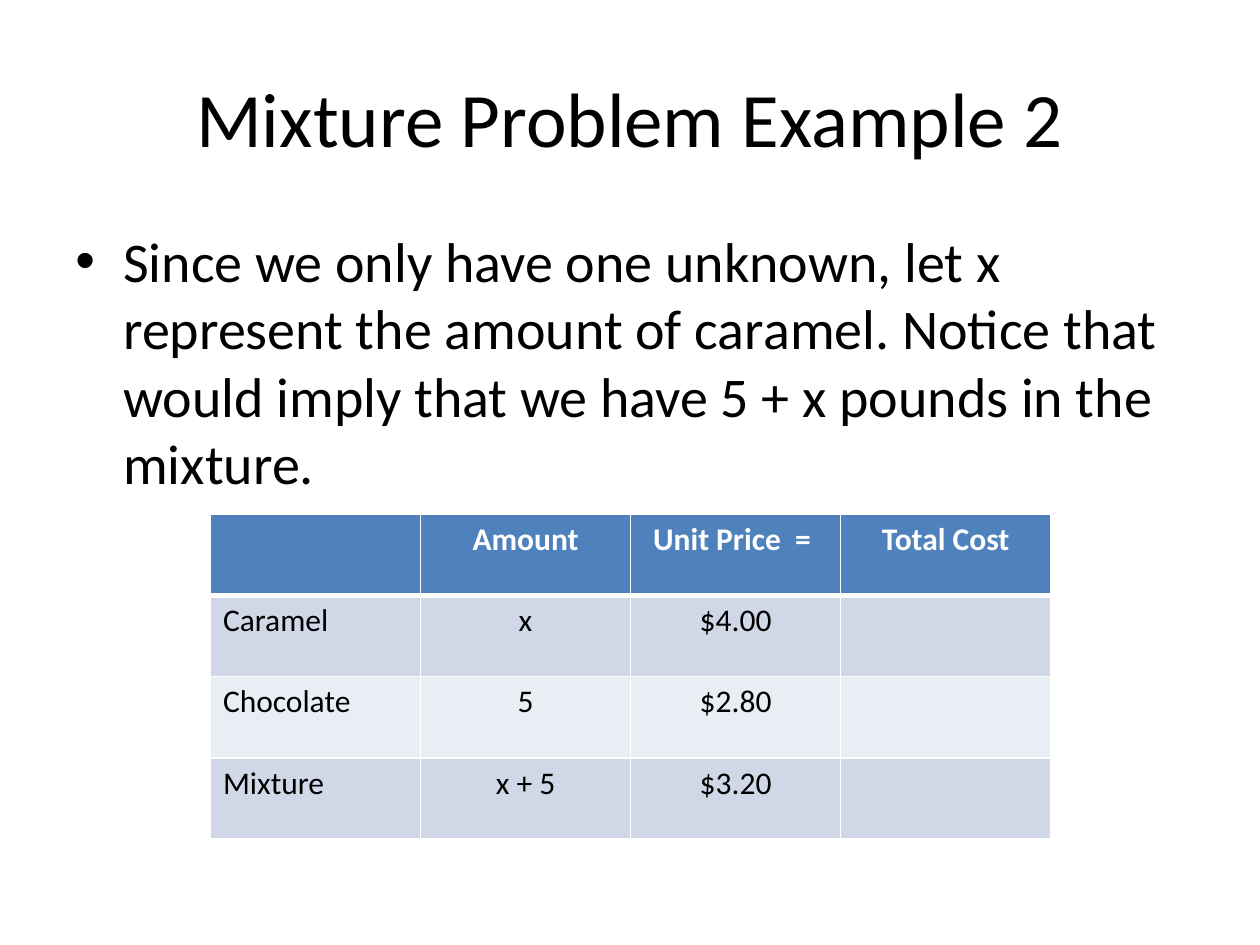
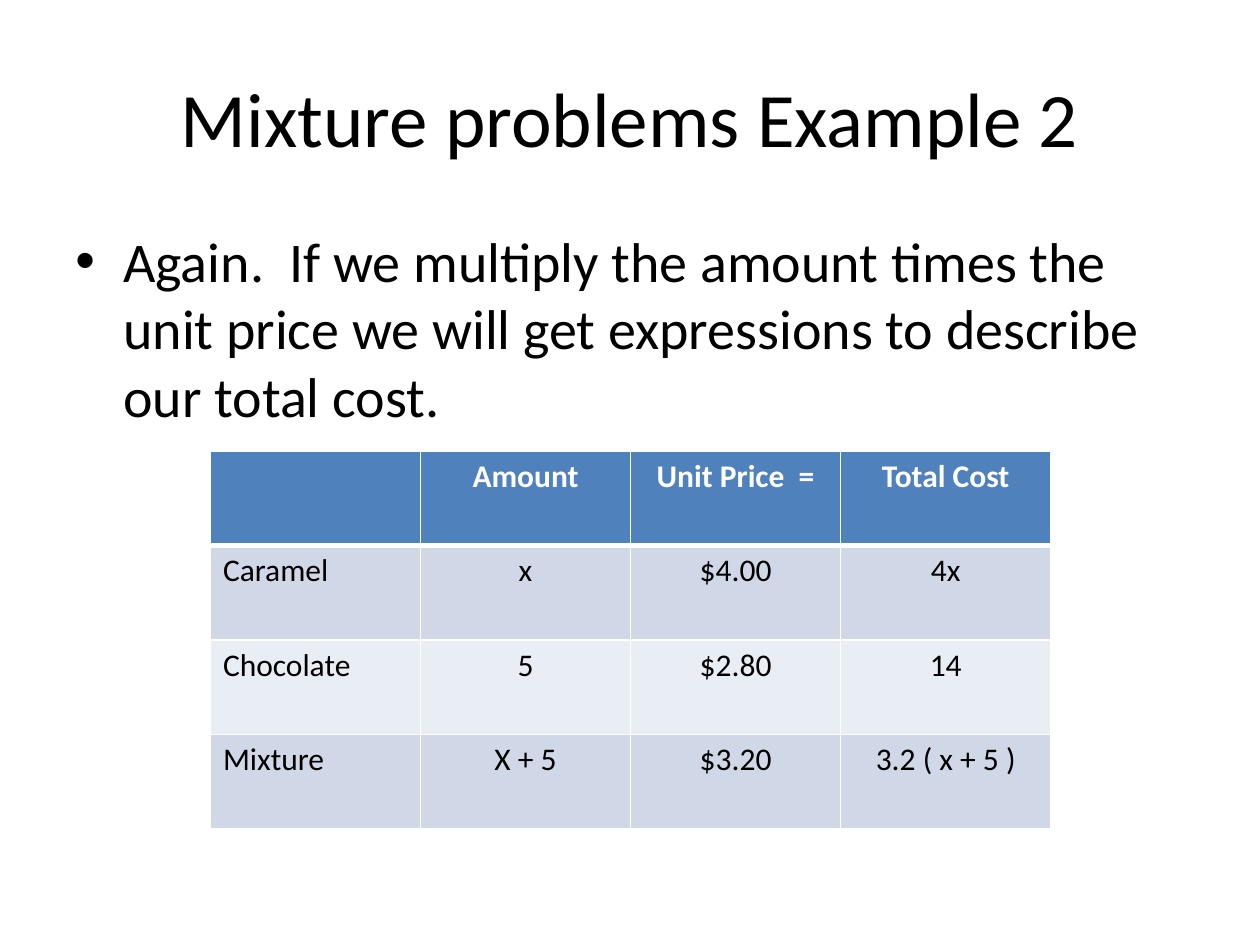
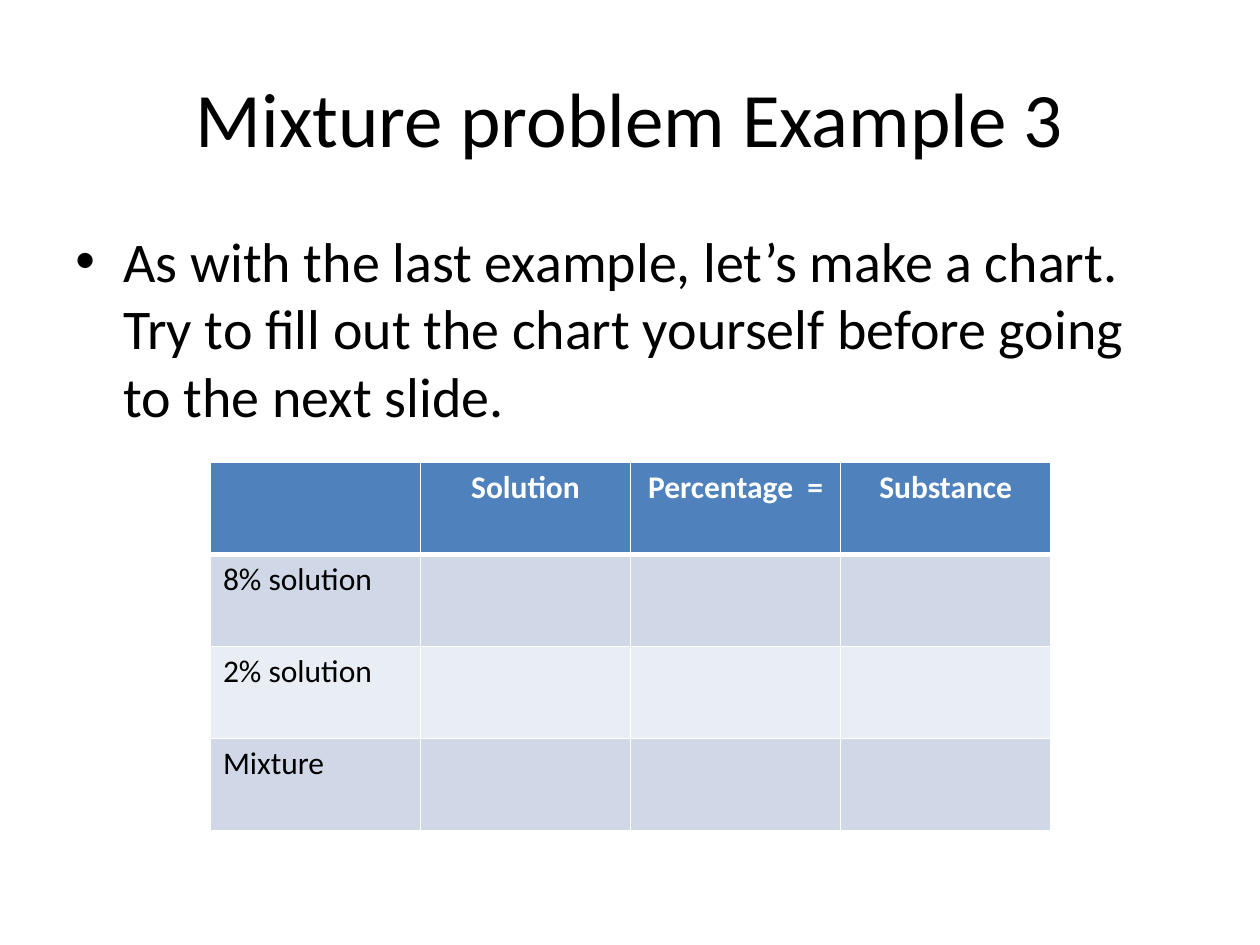
from lxml import etree
from pptx import Presentation
from pptx.dml.color import RGBColor
from pptx.enum.text import MSO_ANCHOR, PP_ALIGN
from pptx.oxml.ns import qn
from pptx.util import Inches, Pt

CENTER, LEFT = PP_ALIGN.CENTER, PP_ALIGN.LEFT
MIDDLE, TOP = MSO_ANCHOR.MIDDLE, MSO_ANCHOR.TOP

COLORS = {
    "text": "000000",
    "header_text": "FFFFFF",
    "header": "4F81BD",
    "odd_band": "D0D8E8",
    "even_band": "E9EDF4",
    "border": "FFFFFF",
}
FONT = "Calibri"
TABLE_LEFT, TABLE_WIDTH = Inches(1.67), Inches(6.67)

SLIDES = [
    {
        "title": "Mixture Problem Example 2",
        "body": "Since we only have one unknown, let x represent the amount of "
                "caramel. Notice that would imply that we have 5 + x pounds in "
                "the mixture.",
        "top": 4.08,
        "height": 2.58,
        "rows": [
            ["", "Amount", "Unit Price  = ", "Total Cost"],
            ["Caramel", "x", "$4.00", ""],
            ["Chocolate", "5", "$2.80", ""],
            ["Mixture", "x + 5", "$3.20", ""],
        ],
    },
    {
        "title": "Mixture problems Example 2",
        "body": "Again.  If we multiply the amount times the unit price we will "
                "get expressions to describe our total cost.",
        "top": 3.58,
        "height": 3,
        "rows": [
            ["", "Amount", "Unit Price  =", "Total Cost"],
            ["Caramel", "x", "$4.00", "4x"],
            ["Chocolate", "5", "$2.80", "14"],
            ["Mixture", "X + 5", "$3.20", "3.2 ( x + 5 )"],
        ],
    },
    {
        "title": "Mixture problem Example 3",
        "body": "As with the last example, let’s make a chart.  Try to fill out "
                "the chart yourself before going to the next slide.",
        "top": 3.67,
        "height": 2.92,
        "rows": [
            ["", "Solution", "Percentage  =", "Substance"],
            ["8% solution", "", "", ""],
            ["2% solution", "", "", ""],
            ["Mixture", "", "", ""],
        ],
    },
]


def set_cell_borders(cell, bottom_width):
    properties = cell._tc.get_or_add_tcPr()
    for side, width in (("L", 1), ("R", 1), ("T", 1), ("B", bottom_width)):
        line = etree.SubElement(properties, qn(f"a:ln{side}"), w=str(Pt(width)))
        fill = etree.SubElement(line, qn("a:solidFill"))
        etree.SubElement(fill, qn("a:srgbClr"), val=COLORS["border"])


class Deck:
    """Holds the shared style and the slide being filled."""

    def __init__(self):
        self.presentation = Presentation()
        self.presentation.slide_width = Inches(10)
        self.presentation.slide_height = Inches(7.5)
        self.slide = None

    def add_slide(self):
        blank = self.presentation.slide_layouts[6]
        self.slide = self.presentation.slides.add_slide(blank)

    def style(self, paragraph, size, color="text", bold=False, align=LEFT):
        paragraph.alignment = align
        font = paragraph.font
        font.name, font.size, font.bold = FONT, Pt(size), bold
        font.color.rgb = RGBColor.from_string(COLORS[color])

    def text(self, words, top, height, anchor):
        """Add a full-width text box and return its paragraph."""
        box = self.slide.shapes.add_textbox(
            Inches(0.5), Inches(top), Inches(9), Inches(height))
        frame = box.text_frame
        frame.word_wrap = True
        frame.vertical_anchor = anchor
        frame.text = words
        return frame.paragraphs[0]

    def title(self, words):
        heading = self.text(words, 0.3, 1.25, MIDDLE)
        self.style(heading, 44, align=CENTER)

    def bullet(self, words):
        point = self.text(words, 1.75, 4.95, TOP)
        properties = point._p.get_or_add_pPr()
        indent = Inches(0.38)
        properties.set("marL", str(indent))
        properties.set("indent", str(-indent))
        etree.SubElement(properties, qn("a:buFont"), typeface="Arial")
        etree.SubElement(properties, qn("a:buChar"), char="•")
        self.style(point, 32)

    def table(self, rows, top, height):
        table = self.slide.shapes.add_table(
            len(rows), len(rows[0]), TABLE_LEFT, Inches(top),
            TABLE_WIDTH, Inches(height)).table
        for r, row in enumerate(rows):
            is_header = r == 0
            band = "header" if is_header else "odd_band" if r % 2 else "even_band"
            for c, words in enumerate(row):
                cell = table.cell(r, c)
                set_cell_borders(cell, 3 if is_header else 1)
                cell.fill.solid()
                cell.fill.fore_color.rgb = RGBColor.from_string(COLORS[band])
                cell.text = words
                self.style(cell.text_frame.paragraphs[0], 18,
                           "header_text" if is_header else "text",
                           is_header, CENTER if c else LEFT)


def main():
    deck = Deck()
    for content in SLIDES:
        deck.add_slide()
        deck.title(content["title"])
        deck.bullet(content["body"])
        deck.table(content["rows"], content["top"], content["height"])
    deck.presentation.save("out.pptx")


if __name__ == "__main__":
    main()
